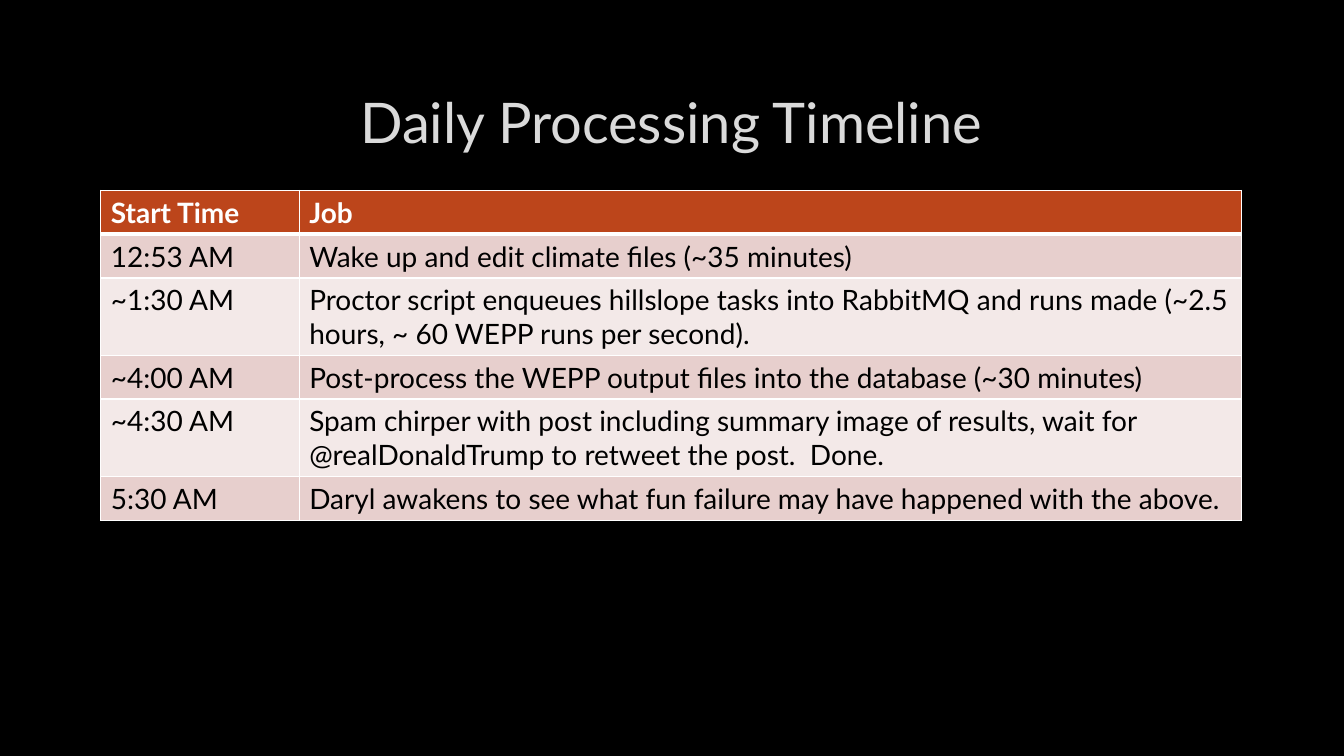
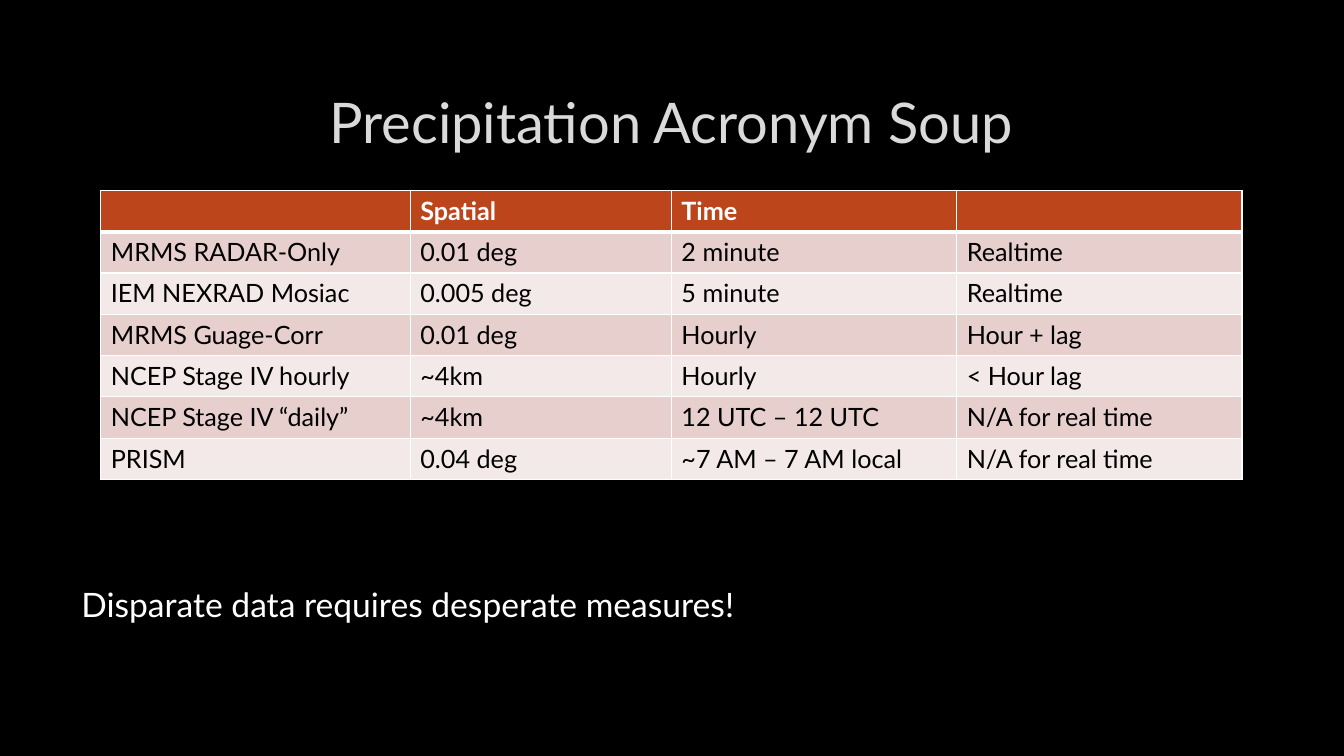
import dataclasses
import typing

import lxml.etree
import pptx
import pptx.dml.color
import pptx.enum.text
import pptx.oxml.ns
import pptx.util

Cm = pptx.util.Cm

BLACK = "000000"
WHITE = "FFFFFF"
TITLE_GREY = "DADADA"
HEADER_FILL = "BC451B"
BAND_FILLS = ("E7CFCD", "F3E9E8")
FONT_NAME = "Lato"
CONTENT_LEFT, CONTENT_WIDTH = 2.54, 28.75
TITLE_TOP, TITLE_HEIGHT = 1.7, 2.7
TABLE_TOP, ROW_HEIGHT = 4.8, 1.04
THIN_BORDER, HEADER_BORDER = 1, 3


@dataclasses.dataclass(frozen=True)
class TextStyle:
    size: int
    color: str
    bold: bool = False


@dataclasses.dataclass(frozen=True)
class TableSlide:
    title: str
    column_widths: tuple[float, ...]
    font_size: int
    rows: tuple[tuple[str, ...], ...]
    remark: str = ""


TITLE_STYLE = TextStyle(40, TITLE_GREY)
REMARK_STYLE = TextStyle(24, WHITE)

TABLE_SLIDES = (
    TableSlide(
        "Daily Processing Timeline",
        (5.0, 23.75),
        20,
        (
            ("Start Time", "Job"),
            ("12:53 AM", "Wake up and edit climate files (~35 minutes)"),
            ("~1:30 AM", "Proctor script enqueues hillslope tasks into RabbitMQ and runs made "
                         "(~2.5 hours, ~ 60 WEPP runs per second)."),
            ("~4:00 AM", "Post-process the WEPP output files into the database (~30 minutes)"),
            ("~4:30 AM", "Spam chirper with post including summary image of results, wait for "
                         "@realDonaldTrump to retweet the post.  Done."),
            ("5:30 AM", "Daryl awakens to see what fun failure may have happened with the above."),
        ),
    ),
    TableSlide(
        "Precipitation Acronym Soup",
        (7.8, 6.58, 7.19, 7.19),
        18,
        (
            ("", "Spatial", "Time", ""),
            ("MRMS RADAR-Only", "0.01 deg", "2 minute", "Realtime"),
            ("IEM NEXRAD Mosiac", "0.005 deg", "5 minute", "Realtime"),
            ("MRMS Guage-Corr", "0.01 deg", "Hourly", "Hour + lag"),
            ("NCEP Stage IV hourly", "~4km", "Hourly", "< Hour lag"),
            ("NCEP Stage IV “daily”", "~4km", "12 UTC – 12 UTC", "N/A for real time"),
            ("PRISM", "0.04 deg", "~7 AM – 7 AM local", "N/A for real time"),
        ),
        "Disparate data requires desperate measures!",
    ),
)


def set_attributes(target: typing.Any, values: dict[str, typing.Any]) -> None:
    for name, value in values.items():
        setattr(target, name, value)


def set_color(color_format: typing.Any, color: str) -> None:
    color_format.rgb = pptx.dml.color.RGBColor.from_string(color)


def write_text(paragraph: typing.Any, text: str, style: TextStyle) -> None:
    run = paragraph.add_run()
    run.text = text
    set_attributes(run.font, {
        "name": FONT_NAME,
        "size": pptx.util.Pt(style.size),
        "bold": style.bold,
    })
    set_color(run.font.color, style.color)


def add_title(slide: typing.Any, text: str) -> None:
    shape = slide.shapes.add_textbox(
        Cm(CONTENT_LEFT), Cm(TITLE_TOP), Cm(CONTENT_WIDTH), Cm(TITLE_HEIGHT))
    set_attributes(shape.text_frame, {
        "word_wrap": True,
        "vertical_anchor": pptx.enum.text.MSO_ANCHOR.MIDDLE,
    })
    paragraph = shape.text_frame.paragraphs[0]
    paragraph.alignment = pptx.enum.text.PP_ALIGN.CENTER
    write_text(paragraph, text, TITLE_STYLE)


def add_remark(slide: typing.Any, text: str) -> None:
    shape = slide.shapes.add_textbox(Cm(1.8), Cm(14.58), Cm(17.75), Cm(1.28))
    shape.text_frame.word_wrap = False
    write_text(shape.text_frame.paragraphs[0], text, REMARK_STYLE)


def add_border(cell: typing.Any, side: str, width: int) -> None:
    qn = pptx.oxml.ns.qn
    properties = cell._tc.get_or_add_tcPr()
    line = lxml.etree.SubElement(
        properties, qn(f"a:ln{side}"), w=str(int(pptx.util.Pt(width))))
    fill = lxml.etree.SubElement(line, qn("a:solidFill"))
    lxml.etree.SubElement(fill, qn("a:srgbClr"), val=WHITE)


def format_cell(cell: typing.Any, text: str, row_index: int, font_size: int) -> None:
    is_header = row_index == 0
    borders = {
        "L": THIN_BORDER,
        "R": THIN_BORDER,
        "T": HEADER_BORDER if row_index == 1 else THIN_BORDER,
        "B": HEADER_BORDER if is_header else THIN_BORDER,
    }
    for side, width in borders.items():
        add_border(cell, side, width)
    cell.fill.solid()
    set_color(cell.fill.fore_color,
              HEADER_FILL if is_header else BAND_FILLS[(row_index - 1) % 2])
    if text:
        style = TextStyle(font_size, WHITE if is_header else BLACK, is_header)
        write_text(cell.text_frame.paragraphs[0], text, style)


def add_table(slide: typing.Any, content: TableSlide) -> None:
    table = slide.shapes.add_table(
        len(content.rows), len(content.column_widths),
        Cm(CONTENT_LEFT), Cm(TABLE_TOP),
        Cm(CONTENT_WIDTH), Cm(ROW_HEIGHT * len(content.rows))).table
    table.horz_banding = False
    for column, width in zip(table.columns, content.column_widths):
        column.width = Cm(width)
    for row_index, texts in enumerate(content.rows):
        for column_index, text in enumerate(texts):
            format_cell(table.cell(row_index, column_index), text, row_index, content.font_size)


def add_table_slide(presentation: typing.Any, content: TableSlide) -> None:
    slide = presentation.slides.add_slide(presentation.slide_layouts[6])
    slide.background.fill.solid()
    set_color(slide.background.fill.fore_color, BLACK)
    add_title(slide, content.title)
    add_table(slide, content)
    if content.remark:
        add_remark(slide, content.remark)


def main() -> None:
    presentation = pptx.Presentation()
    set_attributes(presentation, {"slide_width": Cm(33.87), "slide_height": Cm(19.05)})
    for content in TABLE_SLIDES:
        add_table_slide(presentation, content)
    presentation.save("out.pptx")


if __name__ == "__main__":
    main()
